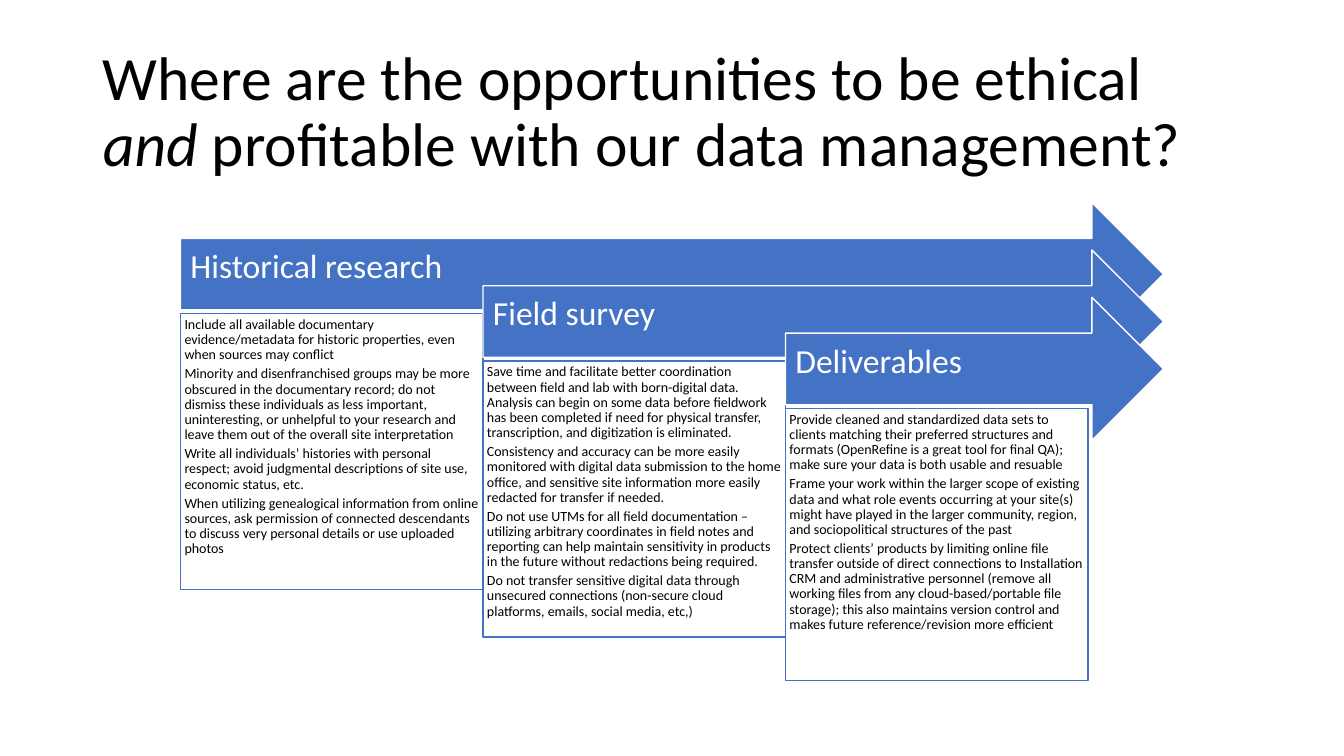
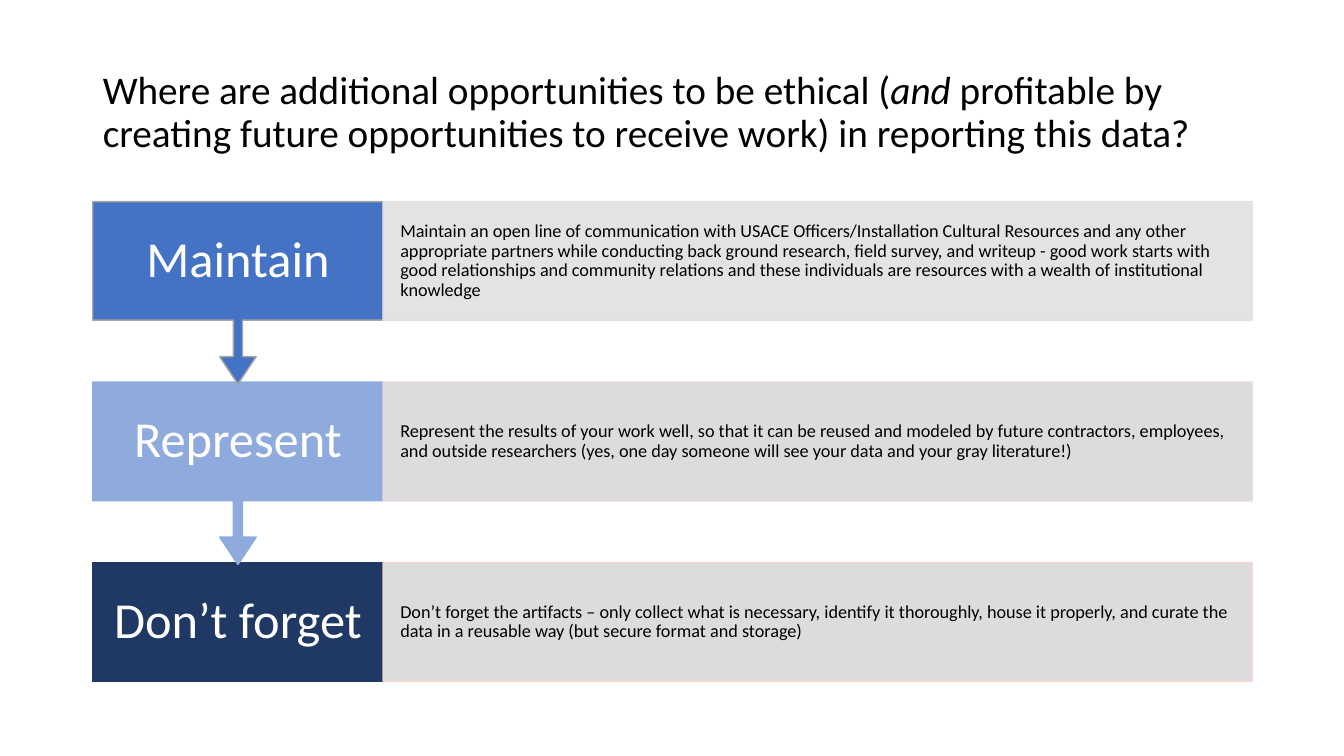
from lxml import etree
from pptx import Presentation
from pptx.dml.color import RGBColor
from pptx.enum.shapes import MSO_SHAPE
from pptx.enum.text import MSO_ANCHOR, MSO_AUTO_SIZE, PP_ALIGN
from pptx.oxml.ns import qn
from pptx.util import Inches, Pt

FONT = "Calibri"
COLORS = {
    "text": "000000", "white": "FFFFFF", "blue": "4472C4",
    "light_blue": "8FAADC", "navy": "203864", "gray_line": "A5A5A5",
    "panel": "D9D9D9", "pale_panel": "E1E1E1",
    "pink_line": "EDD9D7", "peach_line": "F8D7CE",
}
# Text formats: size, colour, alignment, anchor, margins (left, top, right, bottom)
HEADING = dict(size=24, color="white", anchor=MSO_ANCHOR.MIDDLE,
               margins=(0.1, 0.1, 0.28, 0.23))
DETAIL = dict(size=10, color="text", anchor=MSO_ANCHOR.TOP, margins=(0.04,) * 4)
LABEL = dict(size=36, color="white", align=PP_ALIGN.CENTER,
             anchor=MSO_ANCHOR.MIDDLE, margins=(0.2, 0.28, 0.2, 0.28))
ADVICE = dict(size=13, color="text", anchor=MSO_ANCHOR.MIDDLE,
              margins=(0.17, 0.18, 0.17, 0.18))

STAGES = [
    ("Historical research", 2.74, [
        "Include all available documentary evidence/metadata for historic properties, even when sources may conflict",
        "Minority and disenfranchised groups may be more obscured in the documentary record; do not dismiss these individuals as less important, uninteresting, or unhelpful to your research and leave them out of the overall site interpretation",
        "Write all individuals’ histories with personal respect; avoid judgmental descriptions of site use, economic status, etc.",
        "When utilizing genealogical information from online sources, ask permission of connected descendants to discuss very personal details or use uploaded photos",
    ]),
    ("Field survey", 2.74, [
        "Save time and facilitate better coordination between field and lab with born-digital data. Analysis can begin on some data before fieldwork has been completed if need for physical transfer, transcription, and digitization is eliminated.",
        "Consistency and accuracy can be more easily monitored with digital data submission to the home office, and sensitive site information more easily redacted for transfer if needed.",
        "Do not use UTMs for all field documentation – utilizing arbitrary coordinates in field notes and reporting can help maintain sensitivity in products in the future without redactions being required.",
        "Do not transfer sensitive digital data through unsecured connections (non-secure cloud platforms, emails, social media, etc,)",
    ]),
    ("Deliverables", 2.7, [
        "Provide cleaned and standardized data sets to clients matching their preferred structures and formats (OpenRefine is a great tool for final QA); make sure your data is both usable and resuable",
        "Frame your work within the larger scope of existing data and what role events occurring at your site(s) might have played in the larger community, region, and sociopolitical structures of the past",
        "Protect clients’ products by limiting online file transfer outside of direct connections to Installation CRM and administrative personnel (remove all working files from any cloud-based/portable file storage); this also maintains version control and makes future reference/revision more efficient",
    ]),
]

# Label, label fill, label line, panel fill, panel line, advice
STEPS = [
    ("Maintain", "blue", "gray_line", "pale_panel", "pale_panel",
     "Maintain an open line of communication with USACE Officers/Installation Cultural Resources and any other appropriate partners while conducting back ground research, field survey, and writeup - good work starts with good relationships and community relations and these individuals are resources with a wealth of institutional knowledge"),
    ("Represent", "light_blue", "light_blue", "panel", "pink_line",
     "Represent the results of your work well, so that it can be reused and modeled by future contractors, employees, and outside researchers (yes, one day someone will see your data and your gray literature!)"),
    ("Don’t forget", "navy", "navy", "panel", "peach_line",
     "Don’t forget the artifacts – only collect what is necessary, identify it thoroughly, house it properly, and curate the data in a reusable way (but secure format and storage)"),
]


def rgb(name):
    return RGBColor.from_string(COLORS[name])


def set_font(font, size, color, italic=False):
    values = dict(name=FONT, size=Pt(size), italic=italic)
    for key, value in values.items():
        setattr(font, key, value)
    font.color.rgb = rgb(color)


def add_title(s, size, parts):
    """Place the title; every second part is italic."""
    title = s.shapes.title
    box = dict(left=0.92, top=0.4, width=11.5, height=1.45)
    for key, value in box.items():
        setattr(title, key, Inches(value))
    tf = title.text_frame
    tf.auto_size = MSO_AUTO_SIZE.NONE
    tf.vertical_anchor = MSO_ANCHOR.MIDDLE
    p = tf.paragraphs[0]
    p.alignment, p.line_spacing = PP_ALIGN.LEFT, 0.9
    for i, part in enumerate(parts):
        r = p.add_run()
        r.text = part
        set_font(r.font, size, "text", italic=i % 2 == 1)


def write(sp, paragraphs, size, color, anchor, margins, align=PP_ALIGN.LEFT):
    tf = sp.text_frame
    tf.word_wrap = True
    tf.vertical_anchor = anchor
    for side, value in zip(("left", "top", "right", "bottom"), margins):
        setattr(tf, f"margin_{side}", Inches(value))
    for i, text in enumerate(paragraphs):
        p = tf.add_paragraph() if i else tf.paragraphs[0]
        p.alignment, p.line_spacing = align, 0.9
        p.space_after = Pt(round(size * 0.28, 1))
        r = p.add_run()
        r.text = text
        set_font(r.font, size, color)


def add_box(s, kind, box, fill, line, paragraphs, style, adjust=(), alpha=None):
    sp = s.shapes.add_shape(kind, *map(Inches, box))
    sp.shadow.inherit = False
    sp.fill.solid()
    sp.fill.fore_color.rgb = rgb(fill)
    sp.line.color.rgb = rgb(line)
    sp.line.width = Pt(1)
    for i, value in enumerate(adjust):
        sp.adjustments[i] = value
    if alpha:
        for clr in sp._element.spPr.iter(qn("a:srgbClr")):
            etree.SubElement(clr, qn("a:alpha")).set("val", str(alpha * 1000))
    write(sp, paragraphs, **style)
    return sp


def add_stage(s, x, y, width, heading, detail_height, details):
    """An arrow with a heading, and a detail box below its shaft."""
    add_box(s, MSO_SHAPE.RIGHT_ARROW, (x, y, width, 1.42), "blue", "white",
            [heading], HEADING, adjust=(0.5, 0.5))
    add_box(s, MSO_SHAPE.RECTANGLE, (x, y + 1.1, 3, detail_height), "white", "blue",
            details, DETAIL)


def add_step(s, x, y, width, step, last):
    """A label, pointing down unless it is the last, and an advice panel."""
    label, fill, line, panel_fill, panel_line, advice = step
    label_width, height = 2.88, 1.18
    if last:
        add_box(s, MSO_SHAPE.RECTANGLE, (x, y, label_width, height), fill, line,
                [label], LABEL)
    else:
        add_box(s, MSO_SHAPE.DOWN_ARROW_CALLOUT, (x, y, label_width, 1.81), fill, line,
                [label], LABEL, adjust=(0.05, 0.1, 0.15, 0.65))
    add_box(s, MSO_SHAPE.RECTANGLE, (x + label_width, y, width - label_width, height),
            panel_fill, panel_line, [advice], ADVICE, alpha=90)


def build_stages(s):
    add_title(s, 44, ["Where are the opportunities to be ethical ", "and ",
                      "profitable with our data management?"])
    left, top, right = 1.79, 2.01, 11.54
    for i, stage in enumerate(STAGES):
        x = left + 3 * i
        add_stage(s, x, top + 0.47 * i, right - x, *stage)


def build_steps(s):
    add_title(s, 28, ["Where are additional opportunities to be ethical (", "and ",
                      "profitable by creating future opportunities to receive work) in reporting this data?"])
    # Bottom row first, so that each arrow tip lies over the row below
    for i in reversed(range(len(STEPS))):
        add_step(s, 0.92, 2 + 1.79 * i, 11.5, STEPS[i], last=i == len(STEPS) - 1)


def main():
    prs = Presentation()
    prs.slide_width, prs.slide_height = Inches(13.33), Inches(7.5)
    for build in (build_stages, build_steps):
        build(prs.slides.add_slide(prs.slide_layouts[5]))
    prs.save("out.pptx")


if __name__ == "__main__":
    main()
